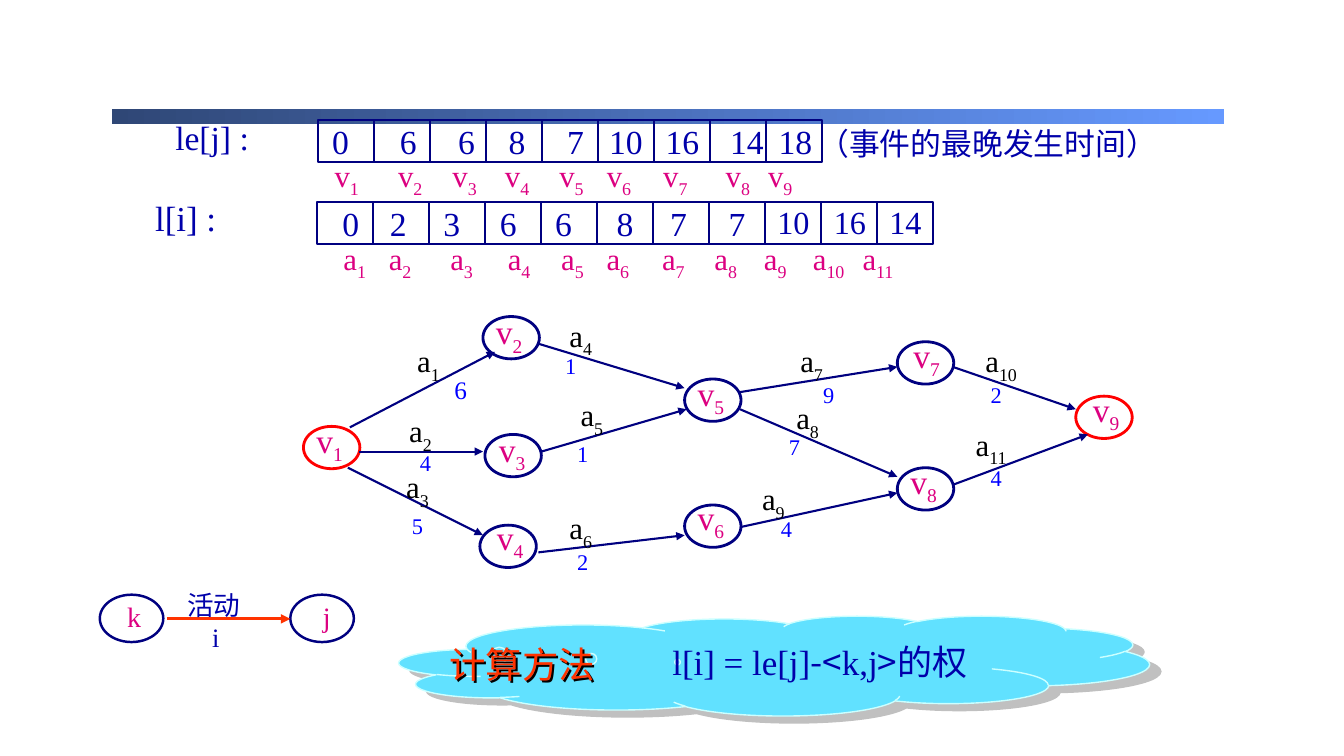
from lxml.etree import SubElement
from pptx import Presentation
from pptx.dml.color import RGBColor
from pptx.enum.shapes import MSO_CONNECTOR, MSO_SHAPE
from pptx.enum.text import PP_ALIGN
from pptx.oxml import parse_xml
from pptx.oxml.ns import nsdecls, qn
from pptx.util import Inches, Pt

SERIF, CJK = "Times New Roman", "Noto Sans CJK SC"
COLORS = {
    "outline": "000080", "text": "0000AA", "name": "DC0081", "weight": "0000FF",
    "activity": "000000", "terminal": "FF0000", "accent": "FF3300",
    "cloud": "61E1FF", "cloud_edge": "CCFFFF",
    "cloud_shadow": "C0C0C0", "heading_shadow": "000000",
    "bar_start": "2F4776", "bar_end": "6699FF",
}
CELL_W, CELL_H = 0.556, 0.42
NODE_W, NODE_H = 0.56, 0.42

LE_VALUES = ["0", "6", "6", "8", "7", "10", "16", "14", "18"]
LE_CENTERS = [3.38, 4.05, 4.63, 5.13, 5.71, 6.21, 6.77, 7.41, 7.89]
EVENT_CENTERS = [3.44, 4.07, 4.61, 5.13, 5.67, 6.14, 6.7, 7.32, 7.74]
L_VALUES = ["0", "2", "3", "6", "6", "8", "7", "7", "10", "16", "14"]
L_CENTERS = [3.48, 3.95, 4.48, 5.04, 5.59, 6.2, 6.73, 7.31, 7.87, 8.43, 8.98]
ACTIVITY_CENTERS = [3.52, 3.97, 4.58, 5.15, 5.68, 6.13, 6.68, 7.2, 7.69, 8.22, 8.71]

# Events v1 to v9: ellipse left and top, label center and top
EVENTS = [
    (3.01, 4.23, 3.27, 4.12), (4.79, 3.14, 5.05, 3.04), (4.81, 4.31, 5.08, 4.21),
    (4.76, 5.21, 5.06, 5.08), (6.79, 3.76, 7.05, 3.65), (6.79, 5.01, 7.05, 4.88),
    (8.9, 3.39, 9.19, 3.27), (8.9, 4.64, 9.16, 4.52), (10.67, 3.93, 10.97, 3.81),
]
# Activities a1 to a11: start, end, label center and top, weight, its center and top
ACTIVITIES = [
    ((3.47, 4.24), (4.91, 3.49), (4.25, 3.34), "6", (4.57, 3.66)),
    ((3.56, 4.48), (4.79, 4.48), (4.17, 4.04), "4", (4.22, 4.41)),
    ((3.45, 4.64), (4.79, 5.31), (4.14, 4.59), "5", (4.14, 5.03)),
    ((5.34, 3.41), (6.79, 3.85), (5.76, 3.09), "1", (5.66, 3.44)),
    ((5.37, 4.48), (6.81, 4.06), (5.87, 3.88), "1", (5.78, 4.32)),
    ((5.34, 5.48), (6.79, 5.31), (5.76, 5.0), "2", (5.78, 5.39)),
    ((7.34, 3.89), (8.9, 3.64), (8.05, 3.34), "9", (8.22, 3.73)),
    ((7.34, 4.06), (8.9, 4.73), (8.01, 3.91), "7", (7.88, 4.25)),
    ((7.34, 5.23), (8.9, 4.89), (7.67, 4.71), "4", (7.8, 5.06)),
    ((9.45, 3.64), (10.67, 4.06), (9.93, 3.34), "2", (9.88, 3.73)),
    ((9.45, 4.81), (10.79, 4.31), (9.83, 4.17), "4", (9.88, 4.56)),
]


def rgb(name):
    return RGBColor.from_string(COLORS[name])


def add_outline(slide, kind, left, top, width, height, color="outline", weight=1.5):
    outline = slide.shapes.add_shape(
        kind, Inches(left), Inches(top), Inches(width), Inches(height))
    outline.shadow.inherit = False
    outline.fill.background()
    outline.line.color.rgb = rgb(color)
    outline.line.width = Pt(weight)
    return outline


def add_arrow(slide, start, end, color="outline", weight=1.5):
    arrow = slide.shapes.add_connector(
        MSO_CONNECTOR.STRAIGHT, *(Inches(v) for v in (*start, *end)))
    arrow.line.color.rgb = rgb(color)
    arrow.line.width = Pt(weight)
    SubElement(arrow._element.spPr.get_or_add_ln(), qn("a:tailEnd"), type="triangle")
    SubElement(arrow._element.spPr, qn("a:effectLst"))


def add_shadow(caster, distance, angle, color):
    caster.shadow.inherit = False
    caster._element.spPr.find(qn("a:effectLst")).append(parse_xml(
        f'<a:outerShdw {nsdecls("a")} dist="{Pt(distance)}" dir="{angle * 60000}" '
        f'algn="ctr" rotWithShape="0"><a:srgbClr val="{COLORS[color]}"/></a:outerShdw>'))


def add_box(slide, left, top, width, wrap=True):
    box = slide.shapes.add_textbox(Inches(left), Inches(top), Inches(width), Inches(0.5))
    box.text_frame.word_wrap = wrap
    return box


def style(paragraph, size, color):
    paragraph.font.size = Pt(size)
    paragraph.font.name = SERIF
    paragraph.font.color.rgb = rgb(color)


def add_run(paragraph, words, baseline=0):
    run = paragraph.add_run()
    run.text = words
    if baseline:
        run._r.get_or_add_rPr().set("baseline", str(baseline * 1000))
    return run


def add_centered(slide, center, top, words, size, color, subscript="", baseline=-24):
    width = 1
    box = add_box(slide, center - width / 2, top, width, wrap=False)
    paragraph = box.text_frame.paragraphs[0]
    paragraph.alignment = PP_ALIGN.CENTER
    style(paragraph, size, color)
    add_run(paragraph, words)
    if subscript:
        add_run(paragraph, subscript, baseline)


def add_left(slide, left, top, width, words, size, color="text"):
    box = add_box(slide, left, top, width)
    paragraph = box.text_frame.paragraphs[0]
    style(paragraph, size, color)
    add_run(paragraph, words)
    return box


def add_tabbed(slide, top, centers, entries, size, color):
    """One line of (word, subscript) entries, each on its own centered tab stop."""
    left = 3.0
    paragraph = add_box(slide, left, top, 6.4).text_frame.paragraphs[0]
    stops = SubElement(paragraph._p.get_or_add_pPr(), qn("a:tabLst"))
    for center in centers:
        SubElement(stops, qn("a:tab"), algn="ctr",
                   pos=str(Inches(center - left - 0.1)))
    style(paragraph, size, color)
    for word, subscript in entries:
        add_run(paragraph, "\t" + word)
        if subscript:
            add_run(paragraph, subscript, -25)


def add_cells(slide, left, top, count):
    for column in range(count):
        add_outline(slide, MSO_SHAPE.RECTANGLE, left + column * CELL_W, top, CELL_W, CELL_H)


def numbered(letter, count):
    return [(letter, str(number)) for number in range(1, count + 1)]


def add_header_bar(slide):
    bar = add_outline(slide, MSO_SHAPE.RECTANGLE, 1.11, 1.08, 11.03, 0.15)
    bar.line.fill.background()
    bar.fill.gradient()
    bar.fill.gradient_angle = 0
    for stop, color in zip(bar.fill.gradient_stops, ("bar_start", "bar_end")):
        stop.color.rgb = rgb(color)


def add_legend(slide):
    for left, center, letter in ((0.99, 1.33, "k"), (2.88, 3.24, "j")):
        add_outline(slide, MSO_SHAPE.OVAL, left, 5.9, 0.63, 0.47, weight=1.75)
        add_centered(slide, center, 5.9, letter, 20, "name")
    add_arrow(slide, (1.66, 6.14), (2.88, 6.14), "accent", 2.25)
    add_centered(slide, 2.12, 5.79, "活动", 19, "text")
    add_centered(slide, 2.14, 6.11, "i", 19, "text")


def add_method_cloud(slide):
    cloud = add_outline(slide, MSO_SHAPE.CLOUD_CALLOUT, 3.96, 6.11, 7.44, 0.99, "cloud_edge", 1)
    cloud.adjustments[0], cloud.adjustments[1] = -0.129, -0.036
    cloud.fill.solid()
    cloud.fill.fore_color.rgb = rgb("cloud")
    add_shadow(cloud, 9.4, 32, "cloud_shadow")
    heading = add_left(slide, 4.36, 6.32, 2.83, "计算方法", 26, "accent")
    add_shadow(heading, 2, 45, "heading_shadow")
    formula = add_left(slide, 6.57, 6.31, 6.08, "l[i] = le[j]", 25).text_frame.paragraphs[0]
    for words, font in (("-<", CJK), ("k,j", SERIF), (">", CJK), ("的权", SERIF)):
        add_run(formula, words).font.name = font


def add_network(slide):
    for number, (left, top, center, label_top) in enumerate(EVENTS, 1):
        color = "terminal" if number in (1, len(EVENTS)) else "outline"
        add_outline(slide, MSO_SHAPE.OVAL, left, top, NODE_W, NODE_H, color, 2)
        add_centered(slide, center, label_top, "v", 24, "name", str(number))
    for number, (start, end, label, weight, weight_at) in enumerate(ACTIVITIES, 1):
        add_arrow(slide, start, end)
        add_centered(slide, *label, "a", 22, "activity", str(number), -28)
        add_centered(slide, *weight_at, weight, 18 if number == 1 else 16, "weight")


def main():
    prs = Presentation()
    prs.slide_width, prs.slide_height = Inches(13.33), Inches(7.5)
    slide = prs.slides.add_slide(prs.slide_layouts[6])
    add_header_bar(slide)
    add_legend(slide)
    add_method_cloud(slide)

    add_cells(slide, 3.15, 1.19, len(LE_VALUES))
    add_left(slide, 1.64, 1.11, 1.4, "le[j] :", 24)
    add_tabbed(slide, 1.15, LE_CENTERS, [(value, "") for value in LE_VALUES], 24, "text")
    add_tabbed(slide, 1.51, EVENT_CENTERS, numbered("v", len(EVENTS)), 22, "name")
    add_left(slide, 8.02, 1.19, 3.9, "（事件的最晚发生时间）", 22)

    add_cells(slide, 3.14, 2, len(L_VALUES))
    add_left(slide, 1.44, 1.9, 1.4, "l[i] :", 25)
    for center, value in zip(L_CENTERS, L_VALUES):
        add_centered(slide, center, 1.96, value, 24 if len(value) == 1 else 23, "text")
    add_tabbed(slide, 2.33, ACTIVITY_CENTERS, numbered("a", len(ACTIVITIES)), 22, "name")

    add_network(slide)
    prs.save("out.pptx")


if __name__ == "__main__":
    main()
